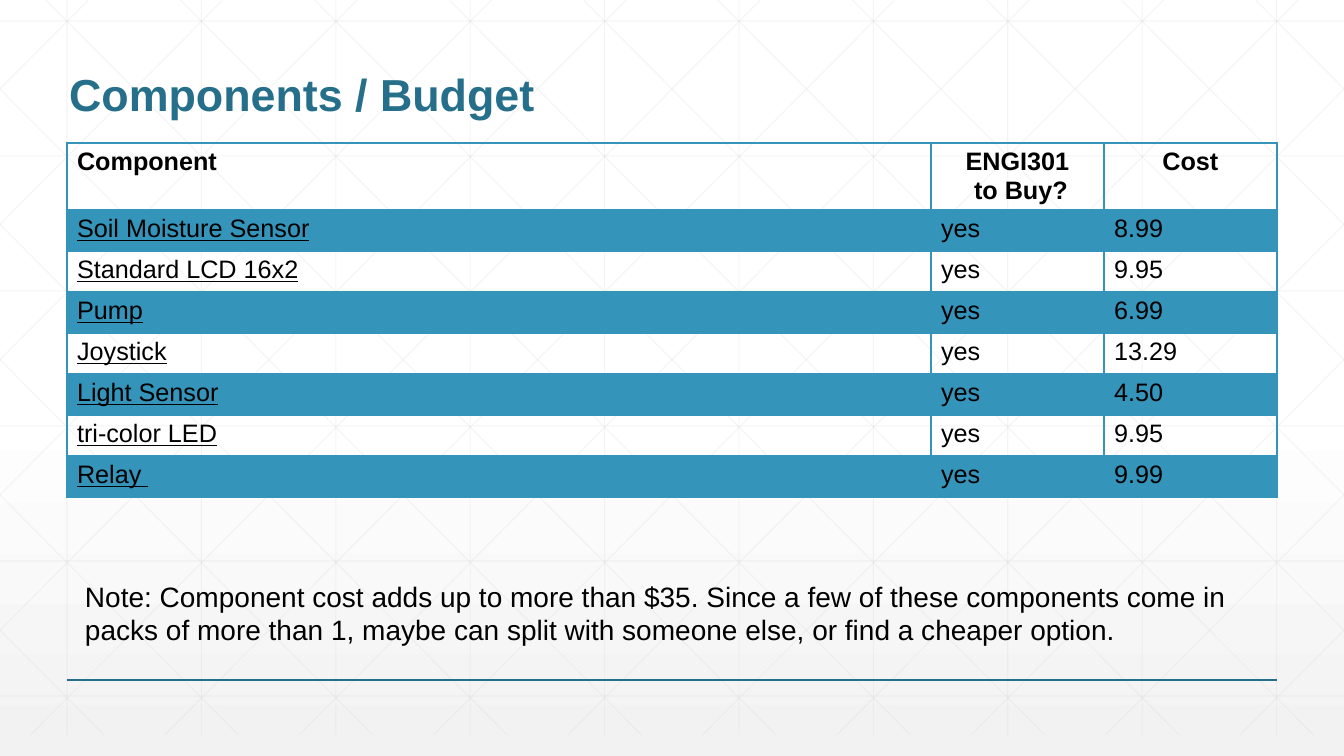
import copy
import pptx
import pptx.util
import pptx.dml.color
import pptx.enum.shapes
import pptx.enum.text
import pptx.oxml
import pptx.oxml.ns

TITLE = "Components / Budget"
HEADS = [["Component"], ["ENGI301", " to Buy?"], ["Cost"]]
ITEMS = [
    ("Soil Moisture Sensor", "yes", "8.99"),
    ("Standard LCD 16x2", "yes", "9.95"),
    ("Pump", "yes", "6.99"),
    ("Joystick", "yes", "13.29"),
    ("Light Sensor", "yes", "4.50"),
    ("tri-color LED", "yes", "9.95"),
    ("Relay ", "yes", "9.99"),
]
NOTE = ("Note: Component cost adds up to more than $35. Since a few of these "
        "components come in packs of more than 1, maybe can split with someone "
        "else, or find a cheaper option.")

FONT = "Arial"
BLACK, TEAL, BLUE, GREY = "000000", "266F8B", "3494BA", "D8D8D8"
BACK = [(0, "FFFFFF"), (0.53, "FFFFFF"), (1, "F2F2F2")]

WIDE, HIGH = 1344, 756
STEP = WIDE / 10
FLOOR = 735
LEFT, RIGHT = 67, 1277
COLS = [864, 173, 173]
HEAD_H, ROW_H = 67, 41


def px(n):
    return pptx.util.Emu(round(n * 914400 / 100.8))


def rgb(color):
    return pptx.dml.color.RGBColor.from_string(color)


def fade(fill, percent):
    """Make a solid fill partly transparent."""
    tint = fill._xPr.find(".//" + pptx.oxml.ns.qn("a:srgbClr"))
    tint.append(pptx.oxml.parse_xml(
        f'<a:alpha {pptx.oxml.ns.nsdecls("a")} val="{percent * 1000}"/>'))


def draw_line(x1, y1, x2, y2, color, width, percent=100):
    line = slide.shapes.add_connector(
        pptx.enum.shapes.MSO_CONNECTOR.STRAIGHT, px(x1), px(y1), px(x2), px(y2))
    line.line.color.rgb = rgb(color)
    line.line.width = pptx.util.Pt(width)
    if percent < 100:
        fade(line.line.fill, percent)
    line._element.spPr.append(pptx.oxml.parse_xml(
        f'<a:effectLst {pptx.oxml.ns.nsdecls("a")}/>'))


def add_run(para, text, size, color=BLACK, bold=False, under=False):
    run = para.add_run()
    run.text = text
    font = run.font
    font.name, font.size = FONT, pptx.util.Pt(size)
    font.color.rgb = rgb(color)
    font.bold, font.underline = bold, under


def set_edges(cell, widths):
    """Outline a cell; widths holds points for left, right, top, bottom."""
    props = cell._tc.get_or_add_tcPr()
    for side, width in zip("LRTB", widths):
        props.append(pptx.oxml.parse_xml(
            f'<a:ln{side} {pptx.oxml.ns.nsdecls("a")} w="{width * 12700}">'
            f'<a:solidFill><a:srgbClr val="{BLUE}"/></a:solidFill></a:ln{side}>'))


def draw_back():
    fill = slide.background.fill
    fill.gradient()
    fill.gradient_angle = 270
    stops = fill._fill._gradFill.gsLst
    stops.insert(1, copy.deepcopy(stops[0]))
    for stop, (place, color) in zip(fill.gradient_stops, BACK):
        stop.position = place
        stop.color.rgb = rgb(color)


def draw_grid():
    lines = [(LEFT + STEP * i, 0, LEFT + STEP * i, FLOOR) for i in range(10)]
    lines += [(0, 21 + 135 * i, WIDE, 21 + 135 * i) for i in range(6)]
    run = 730
    for i in range(-5, 10):
        top = 46 + STEP * i
        x1, x2 = max(top, 0), min(top + run, WIDE)
        y1, y2 = [(x - top) * FLOOR / run for x in (x1, x2)]
        lines += [(x1, y1, x2, y2), (WIDE - x1, y1, WIDE - x2, y2)]
    for ends in lines:
        draw_line(*ends, GREY, 0.75, 25)


def add_title():
    title = slide.shapes.title
    slide.shapes._spTree.append(title._element)
    title.left, title.top, title.width, title.height = map(px, (59, 25, 1210, 101))
    frame = title.text_frame
    frame.word_wrap = True
    frame.vertical_anchor = pptx.enum.text.MSO_ANCHOR.BOTTOM
    para = frame.paragraphs[0]
    para.alignment = pptx.enum.text.PP_ALIGN.LEFT
    para.line_spacing = 0.9
    add_run(para, TITLE, 32, TEAL, bold=True)


def add_budget():
    rows = [HEADS] + [[[text] for text in item] for item in ITEMS]
    table = slide.shapes.add_table(
        len(rows), len(COLS), px(LEFT), px(143), px(sum(COLS)),
        px(HEAD_H + ROW_H * len(ITEMS))).table
    table.first_row = table.horz_banding = False
    for col, width in zip(table.columns, COLS):
        col.width = px(width)
    for r, row in enumerate(rows):
        head = r == 0
        table.rows[r].height = px(HEAD_H if head else ROW_H)
        for c, texts in enumerate(row):
            cell = table.cell(r, c)
            set_edges(cell, (1, 1, 2 if r == 1 else 1, 2 if head else 1))
            if r % 2:
                cell.fill.solid()
                cell.fill.fore_color.rgb = rgb(BLUE)
                fade(cell.fill, 20)
            else:
                cell.fill.background()
            frame = cell.text_frame
            for i, text in enumerate(texts):
                para = frame.add_paragraph() if i else frame.paragraphs[0]
                if head and c:
                    para.alignment = pptx.enum.text.PP_ALIGN.CENTER
                add_run(para, text, 18, bold=head, under=not head and c == 0)


def add_note():
    frame = slide.shapes.add_textbox(*map(px, (75, 569, 1210, 89))).text_frame
    frame.word_wrap = True
    frame.margin_left = frame.margin_right = px(10)
    frame.margin_top = frame.margin_bottom = px(10)
    add_run(frame.paragraphs[0], NOTE, 20)


deck = pptx.Presentation()
deck.slide_width, deck.slide_height = px(WIDE), px(HIGH)
slide = deck.slides.add_slide(deck.slide_layouts[5])
draw_back()
draw_grid()
draw_line(LEFT, 680, RIGHT, 680, TEAL, 1)
add_title()
add_budget()
add_note()
deck.save("out.pptx")
